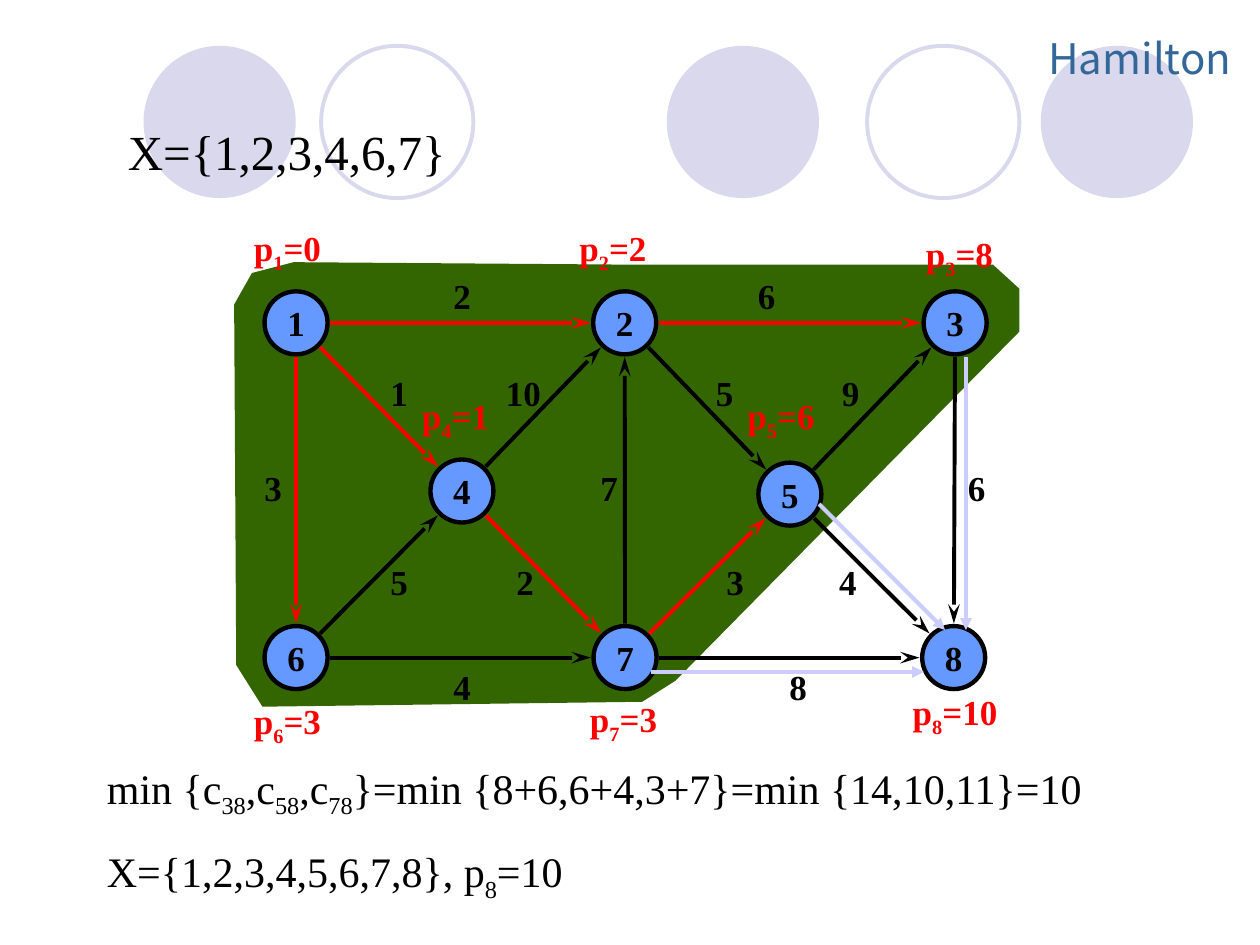
from math import hypot
from pptx import Presentation
from pptx.dml.color import RGBColor
from pptx.enum.shapes import MSO_CONNECTOR, MSO_SHAPE
from pptx.enum.text import MSO_ANCHOR, PP_ALIGN
from pptx.oxml.ns import qn
from pptx.util import Pt
from lxml import etree

OVAL = MSO_SHAPE.OVAL
STRAIGHT = MSO_CONNECTOR.STRAIGHT
MIDDLE = MSO_ANCHOR.MIDDLE
CENTER = PP_ALIGN.CENTER

BLACK = RGBColor(0x00, 0x00, 0x00)
RED = RGBColor(0xFF, 0x00, 0x00)
BLUE = RGBColor(0x66, 0x99, 0xFF)
GREEN = RGBColor(0x33, 0x66, 0x00)
LILAC = RGBColor(0xD9, 0xD8, 0xEC)
PALE = RGBColor(0xCC, 0xCC, 0xFF)
STEEL = RGBColor(0x33, 0x66, 0x99)

SERIF = "Times New Roman"
SANS = "Noto Sans CJK SC"


class Board:
    """Draws on one slide; all lengths are in points."""

    node_size = 36
    gap = 19.5  # from a node centre to the end of an arrow
    stroke = 2.25

    def __init__(self, slide):
        self.shapes = slide.shapes

    def style(self, para, size, color, bold=False, font=SERIF):
        for run in para.runs:
            run.font.size = Pt(size)
            run.font.name = font
            run.font.bold = bold
            run.font.color.rgb = color

    def oval(self, x, y, size, fill=None, line=None, width=stroke):
        oval = self.shapes.add_shape(OVAL, Pt(x), Pt(y), Pt(size), Pt(size))
        oval.shadow.inherit = False
        if fill is None:
            oval.fill.background()
        else:
            oval.fill.solid()
            oval.fill.fore_color.rgb = fill
        if line is None:
            oval.line.fill.background()
        else:
            oval.line.color.rgb = line
            oval.line.width = Pt(width)
        return oval

    def node(self, name, x, y):
        half = self.node_size / 2
        oval = self.oval(x - half, y - half, self.node_size, BLUE, BLACK, 2.5)
        frame = oval.text_frame
        frame.word_wrap = False
        frame.vertical_anchor = MIDDLE
        frame.text = str(name)
        para = frame.paragraphs[0]
        para.alignment = CENTER
        self.style(para, 20, BLACK, True)

    def region(self, points, fill):
        first, *rest = [(Pt(x), Pt(y)) for x, y in points]
        pen = self.shapes.build_freeform(*first, scale=1.0)
        pen.add_line_segments(rest, close=True)
        shape = pen.convert_to_shape()
        shape.shadow.inherit = False
        shape.fill.solid()
        shape.fill.fore_color.rgb = fill
        shape.line.fill.background()

    def arrow(self, start, end, color, head="stealth", length="lg"):
        line = self.shapes.add_connector(
            STRAIGHT, *(Pt(v) for v in (*start, *end)))
        line.line.color.rgb = color
        line.line.width = Pt(self.stroke)
        tail = etree.SubElement(line.line._get_or_add_ln(), qn("a:tailEnd"))
        tail.set("type", head)
        tail.set("len", length)
        etree.SubElement(line._element.spPr, qn("a:effectLst"))

    def edge(self, start, end, color):
        dx, dy = end[0] - start[0], end[1] - start[1]
        part = self.gap / hypot(dx, dy)
        dx, dy = dx * part, dy * part
        self.arrow((start[0] + dx, start[1] + dy),
                   (end[0] - dx, end[1] - dy), color)

    def text(self, x, y, w, h, lines, size, color=BLACK, bold=False,
             font=SERIF, space=0):
        """Every second piece between bars is a subscript."""
        box = self.shapes.add_textbox(Pt(x), Pt(y), Pt(w), Pt(h))
        frame = box.text_frame
        frame.word_wrap = True
        for i, line in enumerate(lines):
            para = frame.add_paragraph() if i else frame.paragraphs[0]
            if i:
                para.space_before = Pt(space)
            for j, piece in enumerate(line.split("|")):
                run = para.add_run()
                run.text = piece
                if j % 2:
                    run.font._element.set("baseline", "-25000")
            self.style(para, size, color, bold, font)


# Node centres
TOP, LOW = 184.5, 375.8
NODES = {
    2: (357, TOP), 3: (545.8, TOP), 7: (357.2, LOW), 1: (169.2, TOP),
    8: (545, LOW), 4: (264, 280.6), 5: (451.4, 282.4), 6: (169.2, LOW),
}

# Start, end, cost, left and top of the cost label
ROWS = (153.4, 208.8, 262.8, 316.8, 376.6)
EDGES = [
    (1, 2, 2, 252, ROWS[0]), (2, 3, 6, 426, ROWS[0]),
    (1, 4, 1, 216, ROWS[1]), (4, 2, 10, 282, ROWS[1]),
    (2, 5, 5, 402, ROWS[1]), (5, 3, 9, 474, ROWS[1]),
    (1, 6, 3, 144, ROWS[2]), (7, 2, 7, 336, ROWS[2]),
    (3, 8, 6, 546, ROWS[2]), (6, 4, 5, 216, ROWS[3]),
    (4, 7, 2, 288, ROWS[3]), (7, 5, 3, 408, ROWS[3]),
    (5, 8, 4, 472.5, ROWS[3]), (6, 7, 4, 252, ROWS[4]),
    (7, 8, 8, 444, ROWS[4]),
]
TREE = {(1, 2), (2, 3), (1, 4), (1, 6), (4, 7), (7, 5)}

# Node, path length, left and top of the label
PATHS = [
    (1, 0, 138, 126), (2, 2, 324, 126), (3, 8, 522, 129.5),
    (4, 1, 234, 222), (5, 6, 420, 222), (6, 3, 138, 396),
    (7, 3, 330, 395), (8, 10, 514.5, 391),
]

REGION = [
    (167.8, 149.8), (357, 151.2), (567.4, 151.2), (582.5, 165), (582.5, 189.5),
    (386, 389), (367, 401), (150, 403.8), (135, 380), (133.8, 174), (144, 156),
]

# Candidate steps to node 8
STEPS = [
    ((372, 384), (528, 384)),
    ((468, 288), (540, 360)),
    ((552, 204), (552, 360)),
]


def main():
    deck = Presentation()
    deck.slide_width, deck.slide_height = Pt(720), Pt(540)
    board = Board(deck.slides.add_slide(deck.slide_layouts[6]))

    # Backdrop circles and heading
    for x in (381, 594.7, 82):
        board.oval(x, 26.2, 87, fill=LILAC)
    for x in (495.5, 183.5):
        board.oval(x, 26.2, 87, line=LILAC)
    board.text(592, 15, 126, 24.5, ["Hamilton"], 24, STEEL, font=SANS)

    # Visited region and graph
    board.region(REGION, GREEN)
    for name, (x, y) in NODES.items():
        board.node(name, x, y)
    for a, b, *_ in EDGES:
        board.edge(NODES[a], NODES[b], RED if (a, b) in TREE else BLACK)
    for _, _, cost, x, y in EDGES:
        board.text(x, y, 36 if cost > 9 else 30, 31.5, [str(cost)], 20,
                   bold=True)

    # Sets and minimum
    board.text(66, 66, 576, 41, ["X={1,2,3,4,6,7}"], 28)
    board.text(54, 432, 666, 88, [
        "min {c|38|,c|58|,c|78|}=min {8+6,6+4,3+7}=min {14,10,11}=10",
        "X={1,2,3,4,5,6,7,8}, p|8|=10",
    ], 24, space=15)

    # Path lengths and candidate steps
    for name, value, x, y in PATHS:
        board.text(x, y, 72 if value > 9 else 62, 34.5,
                   [f"p|{name}|={value}"], 20, RED, True)
    for start, end in STEPS:
        board.arrow(start, end, PALE, "triangle", "med")

    deck.save("out.pptx")


if __name__ == "__main__":
    main()
